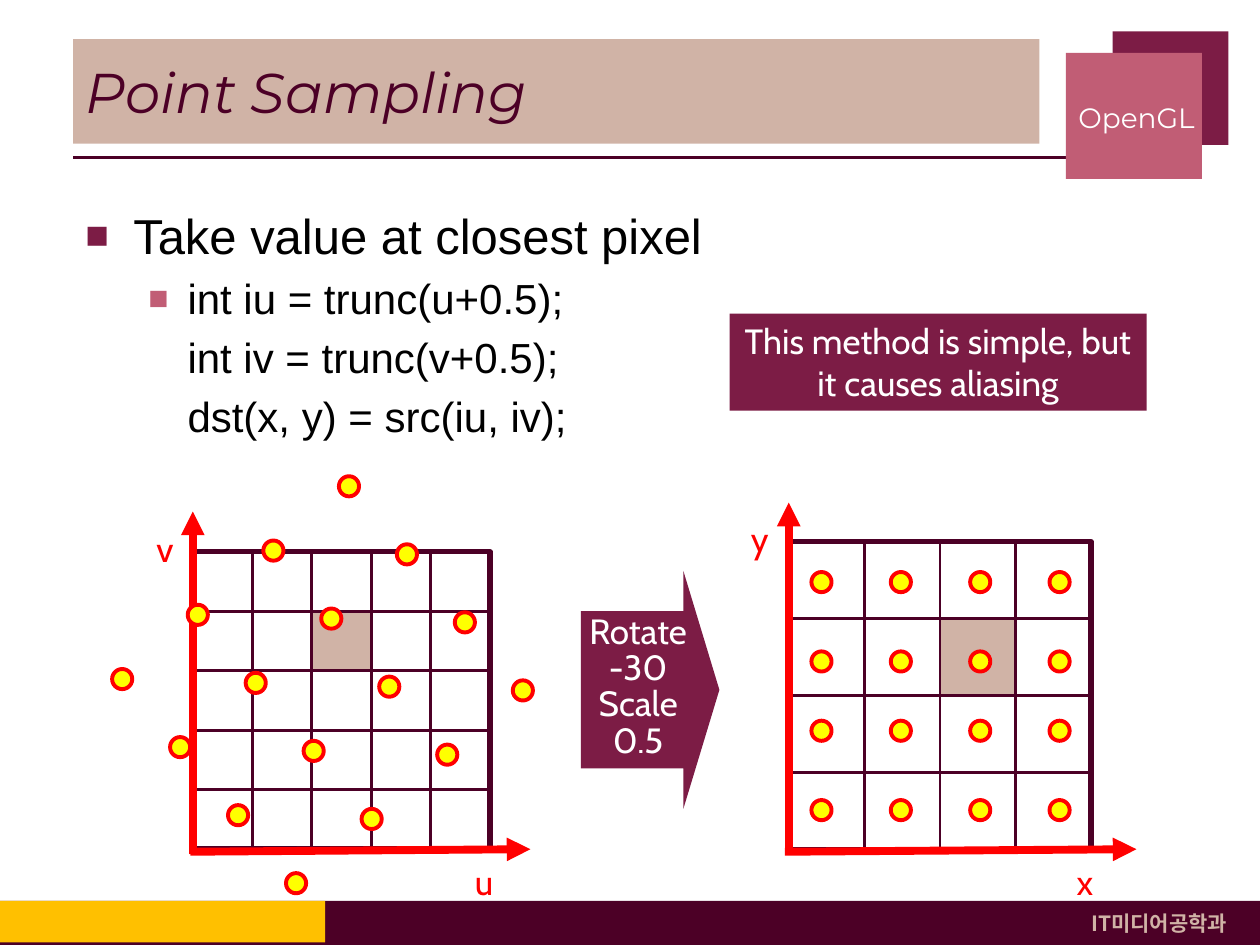
import pptx
import pptx.util
from lxml import etree
from pptx.dml.color import RGBColor
from pptx.enum.shapes import MSO_CONNECTOR, MSO_SHAPE
from pptx.enum.text import MSO_ANCHOR, PP_ALIGN
from pptx.oxml.ns import qn
from pptx.util import Inches, Pt

PLUM, WINE, ROSE, SAND = "4C0026", "7C1C45", "C15D75", "D0B3A6"
RED, YELLOW, WHITE, BLACK, GOLD = "FF0000", "FFFF00", "FFFFFF", "000000", "FFC000"

TITLE = "Point Sampling"
# text, size, left margin, bullet colour
BODY = [
    ("Take value at closest pixel", 28, 0.38, WINE),
    ("int iu = trunc(u+0.5);", 24, 0.81, ROSE),
    ("int iv = trunc(v+0.5);", 24, 0.81, None),
    ("dst(x, y) = src(iu, iv);", 24, 0.81, None),
]
HANGING = {28: 0.38, 24: 0.31}
CALLOUT = "This method is simple, but it causes aliasing"
STEPS = ["Rotate", "-30", "Scale", "0.5"]

# left, top, width, height, fill
FRAME = [
    (8.83, 0.25, 0.92, 0.9, WINE),
    (8.46, 0.42, 1.08, 1, ROSE),
    (0, 7.15, 10, 0.35, PLUM),
    (0, 7.15, 2.58, 0.33, GOLD),
]
# left, top, width, height, cells per side, shaded (column, row)
GRIDS = [
    (1.53, 4.38, 2.36, 2.36, 5, (2, 1)),
    (6.26, 4.3, 2.4, 2.44, 4, (2, 1)),
]
AXES = [
    ((1.53, 6.78), (1.53, 4.06)),
    ((1.51, 6.76), (4.21, 6.74)),
    ((6.26, 6.78), (6.26, 3.99)),
    ((6.23, 6.76), (9.02, 6.74)),
]
AXIS_LABELS = [("u", 3.67, 6.78), ("v", 1.14, 4.14), ("x", 8.44, 6.78), ("y", 5.86, 4.06)]

DOT = 0.16
SAMPLES = 4
TARGET_LEFT, TARGET_STEP = 6.44, 0.63
TARGET_TOPS = [4.54, 5.17, 5.72, 6.35]
SOURCE_START = (0.89, 5.31)
SOURCE_COLUMN_STEP = (0.6, -0.51)
SOURCE_ROW_STEP = (0.46, 0.54)


def rgb(color):
    return RGBColor.from_string(color)


def add_shape(s, kind, left, top, width, height, fill=None, line=None, weight=1.5):
    sp = s.shapes.add_shape(kind, Inches(left), Inches(top), Inches(width), Inches(height))
    sp.shadow.inherit = False
    if fill:
        sp.fill.solid()
        sp.fill.fore_color.rgb = rgb(fill)
    else:
        sp.fill.background()
    if line:
        sp.line.color.rgb = rgb(line)
        sp.line.width = Pt(weight)
    else:
        sp.line.fill.background()
    return sp


def add_line(s, start, end, color, weight, arrow=False):
    ends = [Inches(v) for v in (*start, *end)]
    line = s.shapes.add_connector(MSO_CONNECTOR.STRAIGHT, *ends)
    line.line.color.rgb = rgb(color)
    line.line.width = Pt(weight)
    spPr = line._element.spPr
    if arrow:
        etree.SubElement(spPr.find(qn("a:ln")), qn("a:tailEnd"), type="triangle")
    etree.SubElement(spPr, qn("a:effectLst"))


def add_text_box(s, left, top, width, height):
    return s.shapes.add_textbox(Inches(left), Inches(top), Inches(width), Inches(height))


def style(p, size, font, color, bold=False, italic=False):
    for r in p.runs:
        r.font.size = Pt(size)
        r.font.name = font
        r.font.bold = bold
        r.font.italic = italic
        r.font.color.rgb = rgb(color)
        etree.SubElement(r.font._element, qn("a:ea"), typeface=font)


def set_text(sp, text, size, font, color, align=PP_ALIGN.CENTER,
             anchor=MSO_ANCHOR.TOP, wrap=True, bold=False, italic=False):
    tf = sp.text_frame
    tf.text = text
    tf.word_wrap = wrap
    tf.vertical_anchor = anchor
    for p in tf.paragraphs:
        p.alignment = align
        style(p, size, font, color, bold, italic)
    return tf


def set_bullet(p, margin, hanging, color):
    """Indent a paragraph, with a square bullet if a colour is given."""
    pPr = p._p.get_or_add_pPr()
    pPr.set("marL", str(Inches(margin)))
    if not color:
        pPr.set("indent", "0")
        etree.SubElement(pPr, qn("a:buNone"))
        return
    pPr.set("indent", str(-Inches(hanging)))
    bu_color = etree.SubElement(pPr, qn("a:buClr"))
    etree.SubElement(bu_color, qn("a:srgbClr"), val=color)
    etree.SubElement(pPr, qn("a:buSzPct"), val="80000")
    etree.SubElement(pPr, qn("a:buFont"), typeface="Arial")
    etree.SubElement(pPr, qn("a:buChar"), char="■")


def add_frame(s):
    add_line(s, (0.58, 1.25), (8.5, 1.25), PLUM, 2.25)
    for *box, fill in FRAME:
        add_shape(s, MSO_SHAPE.RECTANGLE, *box, fill)
    set_text(add_text_box(s, 8.41, 7.18, 1.58, 0.3), "IT미디어공학과", 12,
             "Noto Sans CJK KR", SAND, anchor=MSO_ANCHOR.MIDDLE, bold=True)
    set_text(add_text_box(s, 8.46, 0.6, 1.12, 0.67), "OpenGL", 16, "Montserrat", WHITE,
             PP_ALIGN.RIGHT, MSO_ANCHOR.MIDDLE, wrap=False)


def add_title(s):
    title = s.shapes.title
    title.left, title.top = Inches(0.58), Inches(0.31)
    title.width, title.height = Inches(7.67), Inches(0.83)
    title.fill.solid()
    title.fill.fore_color.rgb = rgb(SAND)
    set_text(title, TITLE, 32, "Montserrat", PLUM, PP_ALIGN.LEFT,
             MSO_ANCHOR.MIDDLE, italic=True)


def add_body(s):
    tf = add_text_box(s, 0.58, 1.58, 8.92, 5.42).text_frame
    tf.word_wrap = True
    for i, (text, size, margin, bullet) in enumerate(BODY):
        p = tf.paragraphs[0] if i == 0 else tf.add_paragraph()
        p.text = text
        if i:
            p.space_before = Pt(size * 0.2)
        set_bullet(p, margin, HANGING[size], bullet)
        style(p, size, "Arial", BLACK)


def add_notes_on_method(s):
    callout = add_shape(s, MSO_SHAPE.RECTANGLE, 5.79, 2.49, 3.31, 0.77, WINE)
    set_text(callout, CALLOUT, 20, "Cabin", WHITE)
    arrow = add_shape(s, MSO_SHAPE.RIGHT_ARROW, 4.61, 4.53, 1.1, 1.89, WINE)
    arrow.adjustments[0], arrow.adjustments[1] = 0.66, 0.26
    tf = set_text(arrow, "\n".join(STEPS), 20, "Cabin", WHITE,
                  anchor=MSO_ANCHOR.MIDDLE, wrap=False)
    for i, p in enumerate(tf.paragraphs):
        p.line_spacing = 0.7
        if i:
            p.space_before = Pt(4)


def add_grid(s, left, top, width, height, count, shaded):
    add_shape(s, MSO_SHAPE.RECTANGLE, left, top, width, height, line=PLUM, weight=3)
    w, h = width / count, height / count
    for row in range(count):
        for col in range(count):
            fill = SAND if (col, row) == shaded else None
            add_shape(s, MSO_SHAPE.RECTANGLE, left + col * w, top + row * h, w, h, fill, PLUM)


def add_dots(s):
    (x0, y0), (cx, cy), (rx, ry) = SOURCE_START, SOURCE_COLUMN_STEP, SOURCE_ROW_STEP
    for row in range(SAMPLES):
        for col in range(SAMPLES):
            target = (TARGET_LEFT + col * TARGET_STEP, TARGET_TOPS[row])
            source = (x0 + col * cx + row * rx, y0 + col * cy + row * ry)
            for left, top in (target, source):
                add_shape(s, MSO_SHAPE.OVAL, left, top, DOT, DOT, YELLOW, RED, 2.25)


def main():
    prs = pptx.Presentation()
    prs.slide_width, prs.slide_height = Inches(10), Inches(7.5)
    s = prs.slides.add_slide(prs.slide_layouts[5])
    add_frame(s)
    add_title(s)
    add_body(s)
    add_notes_on_method(s)
    for grid in GRIDS:
        add_grid(s, *grid)
    for start, end in AXES:
        add_line(s, start, end, RED, 4.5, arrow=True)
    for text, left, top in AXIS_LABELS:
        set_text(add_text_box(s, left, top, 0.34, 0.43), text, 20, "Cabin", RED, wrap=False)
    add_dots(s)
    prs.save("out.pptx")


if __name__ == "__main__":
    main()
